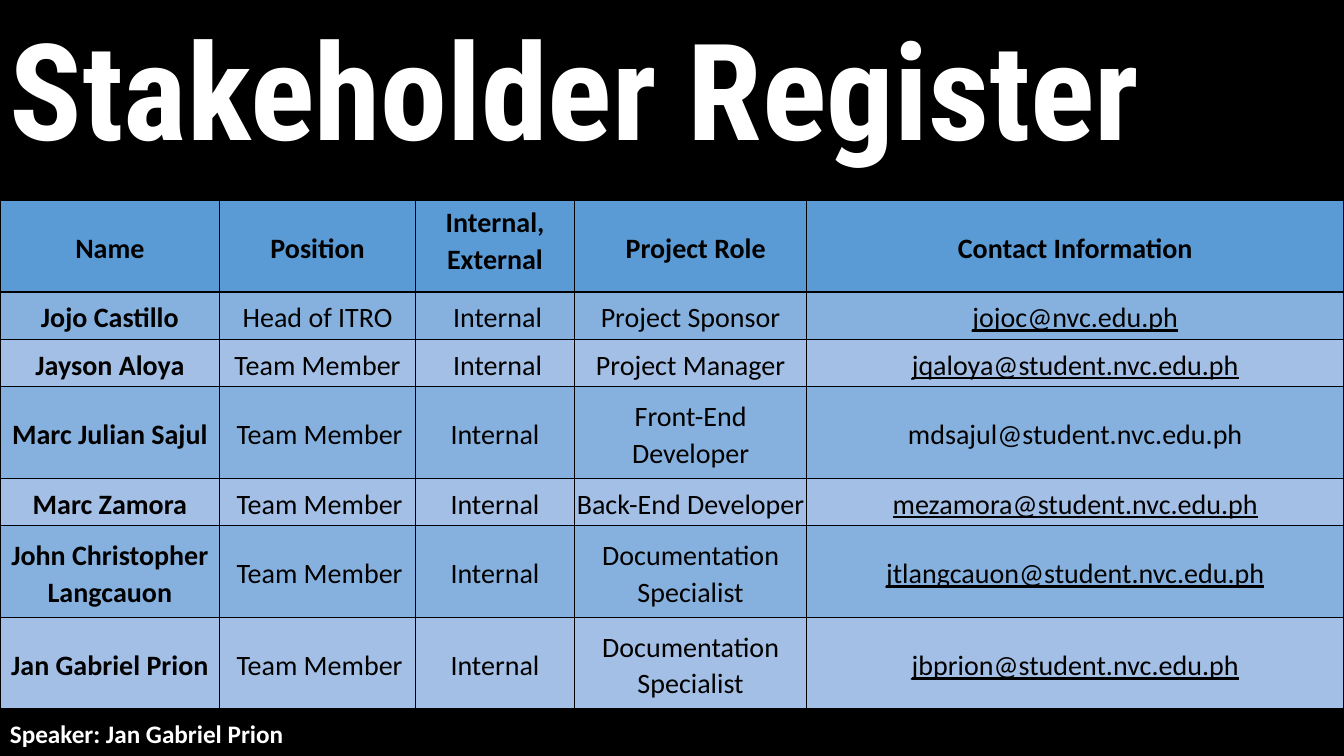
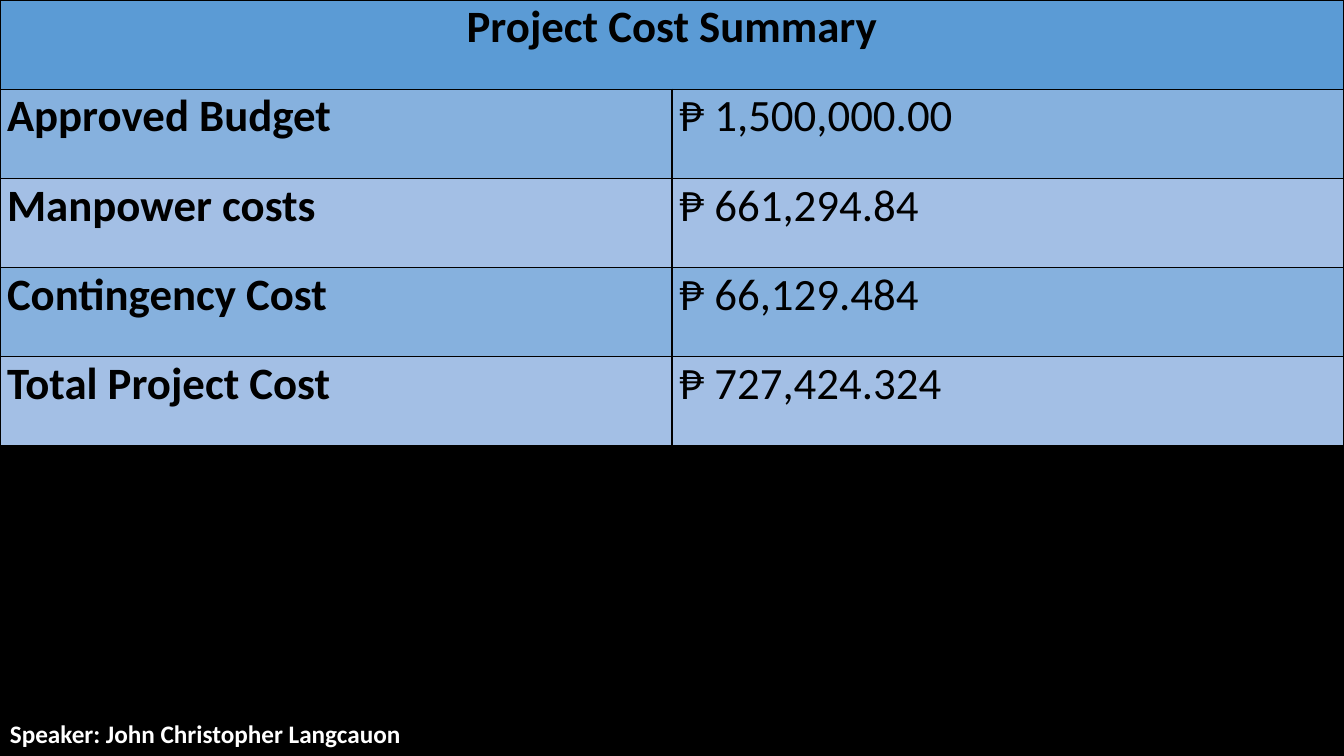
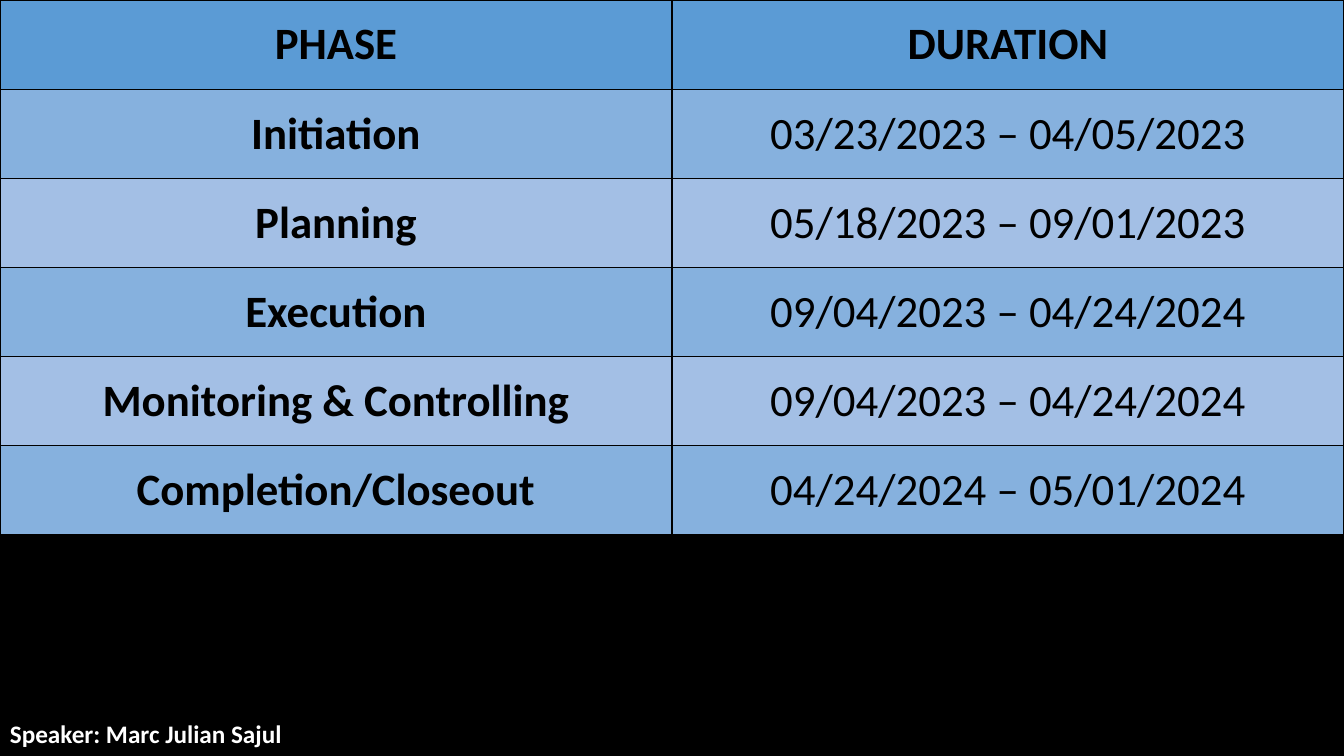
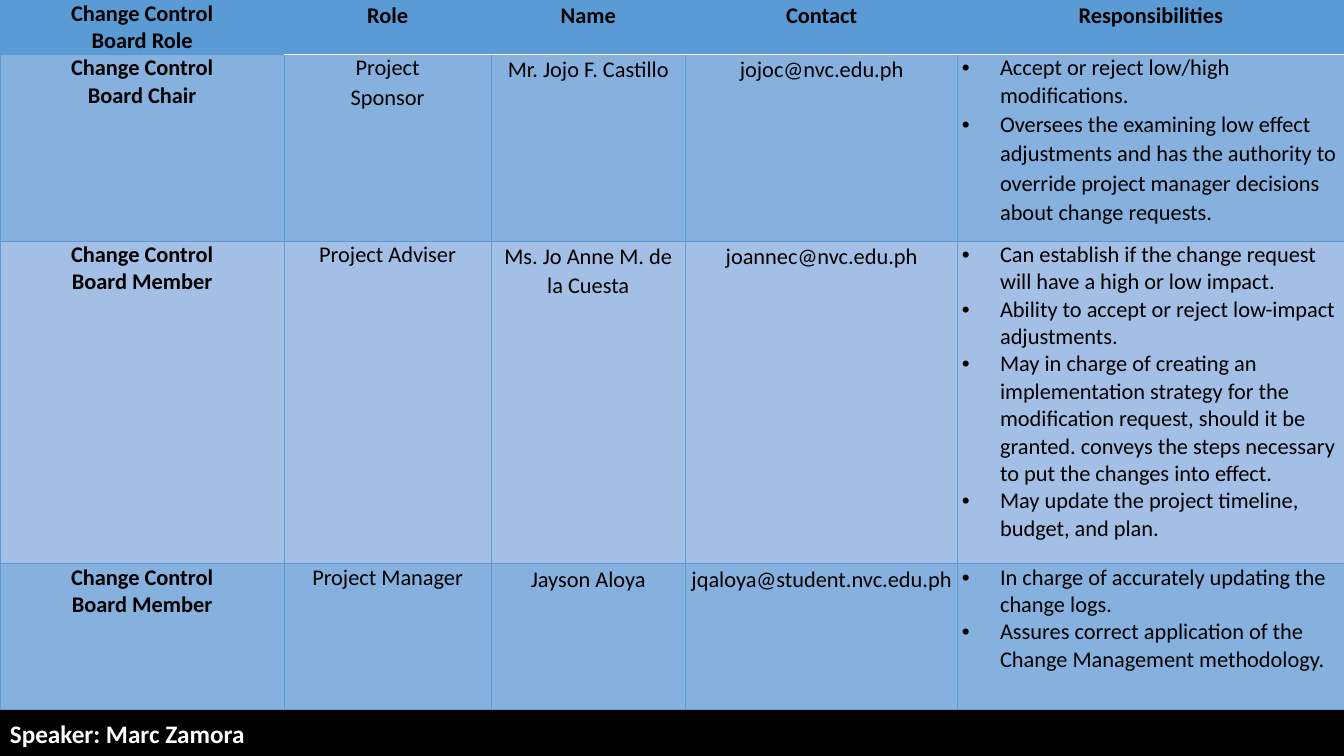
from dataclasses import dataclass
from typing import NamedTuple, Optional

from lxml.etree import SubElement
from pptx import Presentation
from pptx.dml.color import RGBColor
from pptx.enum.text import MSO_ANCHOR, MSO_AUTO_SIZE, PP_ALIGN
from pptx.oxml.ns import qn
from pptx.util import Inches, Pt

WIDTH, HEIGHT = Inches(13.33), Inches(7.5)
BLACK, WHITE = "000000", "FFFFFF"
BLUE, BAND, PALE = "5B9BD5", "86B1DE", "A3BFE5"
BODY_FONT, TITLE_FONT = "Calibri", "Roboto Condensed"
LOOSE = 1.07
BULLET_INDENT = 0.38


@dataclass(frozen=True)
class Cell:
    text: str
    last_spacing: float = 1.0
    indent: float = 0
    bullets: bool = False
    underline: bool = False
    anchor: Optional[MSO_ANCHOR] = None


@dataclass(frozen=True)
class Register:
    top: float
    height: float
    columns: tuple[float, ...]
    row_weights: tuple[float, ...]
    rows: list[list[Cell]]
    size: int
    margins: tuple[float, float]
    anchor: MSO_ANCHOR = MSO_ANCHOR.TOP
    align: PP_ALIGN = PP_ALIGN.CENTER
    rule: str = BLACK
    rule_width: float = 1
    header_rule: Optional[str] = None


class Member(NamedTuple):
    name: str
    position: str
    role: str
    contact: str
    linked: bool = True
    position_indent: float = 0.04
    internal_indent: float = 0


class BoardSeat(NamedTuple):
    seat: str
    role: str
    name: str
    contact: str
    duties: str
    role_spacing: float = 1.0
    duty_spacing: float = 1.0


class Page(NamedTuple):
    speaker: str
    speaker_width: float
    register: Register
    title: str = ""


def colour(value: str) -> RGBColor:
    return RGBColor.from_string(value)


def style(paragraph, size: float, color: str, bold: bool,
          font: str = BODY_FONT, underline: bool = False) -> None:
    for run in paragraph.runs:
        run.font.name = font
        run.font.size = Pt(size)
        run.font.bold = bold
        run.font.underline = underline
        run.font.color.rgb = colour(color)


def add_label(slide, text: str, top: float, width: float, height: float,
              size: float, font: str, anchor: MSO_ANCHOR) -> None:
    label = slide.shapes.add_textbox(
        0, int(top * HEIGHT), int(width * WIDTH), int(height * HEIGHT))
    frame = label.text_frame
    frame.word_wrap = True
    frame.auto_size = MSO_AUTO_SIZE.SHAPE_TO_FIT_TEXT
    frame.vertical_anchor = anchor
    frame.text = text
    style(frame.paragraphs[0], size, WHITE, True, font)


def add_borders(cell, edges: dict[str, tuple[str, float]]) -> None:
    properties = cell._tc.get_or_add_tcPr()
    for edge, (color, width) in edges.items():
        line = SubElement(properties, qn(f"a:ln{edge}"), w=str(Pt(width)))
        SubElement(SubElement(line, qn("a:solidFill")), qn("a:srgbClr"), val=color)


def add_indent(paragraph, indent: float, bullets: bool) -> None:
    properties = paragraph._p.get_or_add_pPr()
    properties.set("marL", str(Inches(BULLET_INDENT if bullets else indent)))
    properties.set("indent", str(-Inches(BULLET_INDENT) if bullets else 0))
    if bullets:
        SubElement(properties, qn("a:buFont"), typeface="Arial")
        SubElement(properties, qn("a:buChar"), char="•")


def fill_cell(cell, content: Cell, register: Register, row: int, column: int) -> None:
    edges = {edge: (register.rule, register.rule_width) for edge in "LRTB"}
    if register.header_rule and column and row < 2:
        edges["T" if row else "B"] = (register.header_rule, 1)
    add_borders(cell, edges)
    cell.fill.solid()
    cell.fill.fore_color.rgb = colour(
        BLUE if row == 0 else BAND if row % 2 else PALE)
    side, top = register.margins
    cell.margin_left = cell.margin_right = Inches(side)
    cell.margin_top, cell.margin_bottom = Inches(top), 0
    cell.vertical_anchor = content.anchor or register.anchor
    cell.text_frame.text = content.text
    paragraphs = cell.text_frame.paragraphs
    for paragraph in paragraphs:
        paragraph.alignment = PP_ALIGN.CENTER if row == 0 else register.align
        if content.bullets:
            paragraph.alignment = PP_ALIGN.LEFT
        add_indent(paragraph, content.indent, content.bullets)
        style(paragraph, register.size, BLACK, row == 0 or column == 0,
              underline=content.underline)
    paragraphs[-1].line_spacing = content.last_spacing


def add_register(slide, register: Register) -> None:
    height = int(register.height * HEIGHT)
    table = slide.shapes.add_table(
        len(register.rows), len(register.columns),
        0, int(register.top * HEIGHT), WIDTH, height).table
    for column, weight in zip(table.columns, register.columns):
        column.width = int(WIDTH * weight / sum(register.columns))
    for row, weight in zip(table.rows, register.row_weights):
        row.height = int(height * weight / sum(register.row_weights))
    for r, contents in enumerate(register.rows):
        for c, content in enumerate(contents):
            fill_cell(table.cell(r, c), content, register, r, c)
        if len(contents) < len(register.columns):
            table.cell(r, 0).merge(table.cell(r, len(register.columns) - 1))


def stakeholders() -> Register:
    members = [
        Member("Jojo Castillo", "Head of ITRO", "Project Sponsor",
               "jojoc@nvc.edu.ph", True, 0, 0.05),
        Member("Jayson Aloya", "Team Member", "Project Manager",
               "jqaloya@student.nvc.edu.ph", True, 0, 0.05),
        Member("Marc Julian Sajul", "Team Member", "Front-End Developer",
               "mdsajul@student.nvc.edu.ph", False),
        Member("Marc Zamora", "Team Member", "Back-End Developer",
               "mezamora@student.nvc.edu.ph"),
        Member("John Christopher Langcauon", "Team Member",
               "Documentation Specialist", "jtlangcauon@student.nvc.edu.ph"),
        Member("Jan Gabriel Prion", "Team Member", "Documentation Specialist",
               "jbprion@student.nvc.edu.ph"),
    ]
    header = [
        Cell("Name", LOOSE),
        Cell("Position", LOOSE),
        Cell("Internal, External", LOOSE, anchor=MSO_ANCHOR.TOP),
        Cell("Project Role", LOOSE, indent=0.1),
        Cell("Contact Information", LOOSE),
    ]
    body = [[
        Cell(member.name, LOOSE),
        Cell(member.position, LOOSE, member.position_indent),
        Cell("Internal", LOOSE, member.internal_indent),
        Cell(member.role, LOOSE),
        Cell(member.contact, LOOSE, underline=member.linked),
    ] for member in members]
    return Register(0.265, 0.673, (2.18, 1.94, 1.58, 2.3, 5.33),
                    (0.91, 0.47, 0.47, 0.91, 0.47, 0.91, 0.91),
                    [header, *body], 20, (0, 0.03), MSO_ANCHOR.MIDDLE)


def two_columns(rows: list[tuple[str, ...]], anchor: MSO_ANCHOR,
                align: PP_ALIGN) -> Register:
    return Register(0, 0.118 * len(rows), (1, 1), (1,) * len(rows),
                    [[Cell(text) for text in row] for row in rows],
                    32, (0.07, 0), anchor, align)


def costs() -> Register:
    return two_columns([
        ("Project Cost Summary",),
        ("Approved Budget", "₱ 1,500,000.00"),
        ("Manpower costs", "₱ 661,294.84"),
        ("Contingency Cost", "₱ 66,129.484"),
        ("Total Project Cost", "₱ 727,424.324"),
    ], MSO_ANCHOR.TOP, PP_ALIGN.LEFT)


def phases() -> Register:
    return two_columns([
        ("PHASE", "DURATION"),
        ("Initiation", "03/23/2023 – 04/05/2023"),
        ("Planning", "05/18/2023 – 09/01/2023"),
        ("Execution", "09/04/2023 – 04/24/2024"),
        ("Monitoring & Controlling", "09/04/2023 – 04/24/2024"),
        ("Completion/Closeout", "04/24/2024 – 05/01/2024"),
    ], MSO_ANCHOR.MIDDLE, PP_ALIGN.CENTER)


def change_board() -> Register:
    seats = [
        BoardSeat("Change Control\nBoard Chair", "Project\nSponsor",
                  "Mr. Jojo F. Castillo", "jojoc@nvc.edu.ph",
                  "Accept or reject low/high modifications.\n"
                  "Oversees the examining low effect adjustments and has the "
                  "authority to override project manager decisions about "
                  "change requests.", LOOSE, LOOSE),
        BoardSeat("Change Control\nBoard Member", "Project Adviser",
                  "Ms. Jo Anne M. de la Cuesta", "joannec@nvc.edu.ph",
                  "Can establish if the change request will have a high or "
                  "low impact.\n"
                  "Ability to accept or reject low-impact adjustments.\n"
                  "May in charge of creating an implementation strategy for "
                  "the modification request, should it be granted. conveys "
                  "the steps necessary to put the changes into effect.\n"
                  "May update the project timeline, budget, and plan."),
        BoardSeat("Change Control\nBoard Member", "Project Manager",
                  "Jayson Aloya", "jqaloya@student.nvc.edu.ph",
                  "In charge of accurately updating the change logs.\n"
                  "Assures correct application of the Change Management "
                  "methodology."),
    ]
    headings = ("Role", "Name", "Contact", "Responsibilities")
    header = [Cell("Change Control\nBoard Role"),
              *(Cell(heading, LOOSE) for heading in headings)]
    body = [[
        Cell(seat.seat),
        Cell(seat.role, seat.role_spacing),
        Cell(seat.name, LOOSE),
        Cell(seat.contact, LOOSE),
        Cell(seat.duties, seat.duty_spacing, bullets=True),
    ] for seat in seats]
    return Register(0, 0.938, (2.82, 2.05, 1.93, 2.7, 3.83),
                    (0.54, 1.85, 3.2, 1.44), [header, *body], 16, (0.04, 0),
                    rule=BLUE, rule_width=0.5, header_rule=WHITE)


def main() -> None:
    deck = Presentation()
    deck.slide_width, deck.slide_height = WIDTH, HEIGHT
    backdrop = deck.slide_master.background.fill
    backdrop.solid()
    backdrop.fore_color.rgb = colour(BLACK)
    pages = [
        Page("Jan Gabriel Prion", 0.225, stakeholders(), "Stakeholder Register"),
        Page("John Christopher Langcauon", 0.31, costs()),
        Page("Marc Julian Sajul", 0.225, phases()),
        Page("Marc Zamora", 0.225, change_board()),
    ]
    for page in pages:
        slide = deck.slides.add_slide(deck.slide_layouts[6])
        if page.title:
            add_label(slide, page.title, 0, 1, 0.23, 96, TITLE_FONT,
                      MSO_ANCHOR.MIDDLE)
        add_register(slide, page.register)
        add_label(slide, f"Speaker: {page.speaker}", 0.943, page.speaker_width,
                  0.053, 18, BODY_FONT, MSO_ANCHOR.TOP)
    deck.save("out.pptx")


if __name__ == "__main__":
    main()
